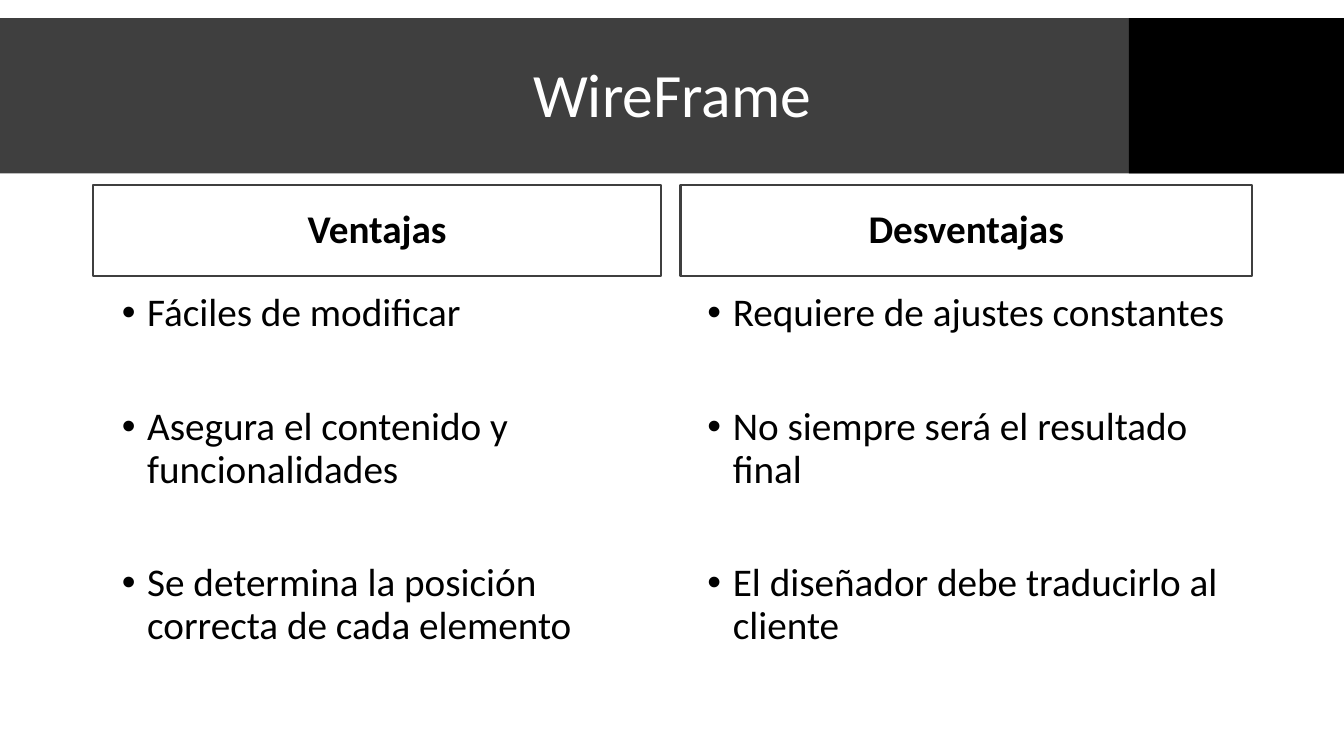
"""Builds the WireFrame slide comparing advantages and drawbacks."""
from lxml.etree import SubElement
from pptx import Presentation
from pptx.dml.color import RGBColor
from pptx.enum.shapes import MSO_SHAPE as Shape
from pptx.enum.text import MSO_ANCHOR as Anchor, PP_ALIGN as Align
from pptx.oxml.ns import qn
from pptx.util import Cm, Pt

COLORS = {"gray": "3F3F3F", "black": "000000", "white": "FFFFFF"}
WIDTH, HEIGHT = 33.87, 19.05
BAND_TOP, BAND_HEIGHT = 0.46, 3.91
ACCENT_LEFT = 28.45
HEADER_TOP, HEADER_HEIGHT = 4.67, 2.29
LIST_TOP = 7.26
COLUMNS = [
    ("Ventajas", (2.34, 14.33), (2.82, 13.06, 10.24),
     ["Fáciles de modificar",
      "Asegura el contenido y funcionalidades",
      "Se determina la posición correcta de cada elemento"]),
    ("Desventajas", (17.15, 14.4), (17.58, 14.33, 9.27),
     ["Requiere de ajustes constantes",
      "No siempre será el resultado final",
      "El diseñador debe traducirlo al cliente"]),
]


class SlideBuilder:
    font = "Calibri"
    body_size = 28
    title_size = 44
    line_spacing = 0.9
    item_gap = 51
    indent = 0.64

    def __init__(self, slide):
        self.slide = slide

    def color(self, name):
        return RGBColor.from_string(COLORS[name])

    def rectangle(self, left, top, width, height, fill=None, line=None):
        shape = self.slide.shapes.add_shape(
            Shape.RECTANGLE, Cm(left), Cm(top), Cm(width), Cm(height))
        shape.shadow.inherit = False
        if fill:
            shape.fill.solid()
            shape.fill.fore_color.rgb = self.color(fill)
        else:
            shape.fill.background()
        if line:
            shape.line.color.rgb = self.color(line)
            shape.line.width = Pt(1.5)
        else:
            shape.line.fill.background()
        return shape

    def text_box(self, left, top, width, height):
        shape = self.slide.shapes.add_textbox(
            Cm(left), Cm(top), Cm(width), Cm(height))
        shape.text_frame.word_wrap = True
        return shape

    def text_run(self, paragraph, text, size, color="black", bold=False):
        paragraph.line_spacing = self.line_spacing
        run = paragraph.add_run()
        run.text = text
        run.font.name = self.font
        run.font.size = Pt(size)
        run.font.bold = bold
        run.font.color.rgb = self.color(color)

    def centered(self, shape, text, size, color="black", bold=False):
        frame = shape.text_frame
        frame.vertical_anchor = Anchor.MIDDLE
        paragraph = frame.paragraphs[0]
        paragraph.alignment = Align.CENTER
        self.text_run(paragraph, text, size, color, bold)

    def title(self, text, left, top, width, height):
        shape = self.text_box(left, top, width, height)
        self.centered(shape, text, self.title_size, "white")

    def header(self, text, left, width):
        shape = self.rectangle(left, HEADER_TOP, width, HEADER_HEIGHT, line="gray")
        self.centered(shape, text, self.body_size, bold=True)

    def bullet_list(self, items, left, width, height):
        frame = self.text_box(left, LIST_TOP, width, height).text_frame
        for index, item in enumerate(items):
            paragraph = frame.add_paragraph() if index else frame.paragraphs[0]
            self.text_run(paragraph, item, self.body_size)
            paragraph.space_before = Pt(self.item_gap if index else 0)
            properties = paragraph._p.get_or_add_pPr()
            properties.set("marL", str(Cm(self.indent)))
            properties.set("indent", str(-Cm(self.indent)))
            SubElement(properties, qn("a:buFont"), typeface="Arial")
            SubElement(properties, qn("a:buChar"), char="•")


def main():
    presentation = Presentation()
    presentation.slide_width, presentation.slide_height = Cm(WIDTH), Cm(HEIGHT)
    slide = presentation.slides.add_slide(presentation.slide_layouts[6])
    builder = SlideBuilder(slide)
    for heading, header_place, list_place, items in COLUMNS:
        builder.header(heading, *header_place)
        builder.bullet_list(items, *list_place)
    builder.rectangle(0, BAND_TOP, WIDTH, BAND_HEIGHT, fill="gray")
    builder.title("WireFrame", 2.34, 1.02, 29.21, 2.9)
    builder.rectangle(ACCENT_LEFT, BAND_TOP, WIDTH - ACCENT_LEFT, BAND_HEIGHT, fill="black")
    presentation.save("out.pptx")


if __name__ == "__main__":
    main()
